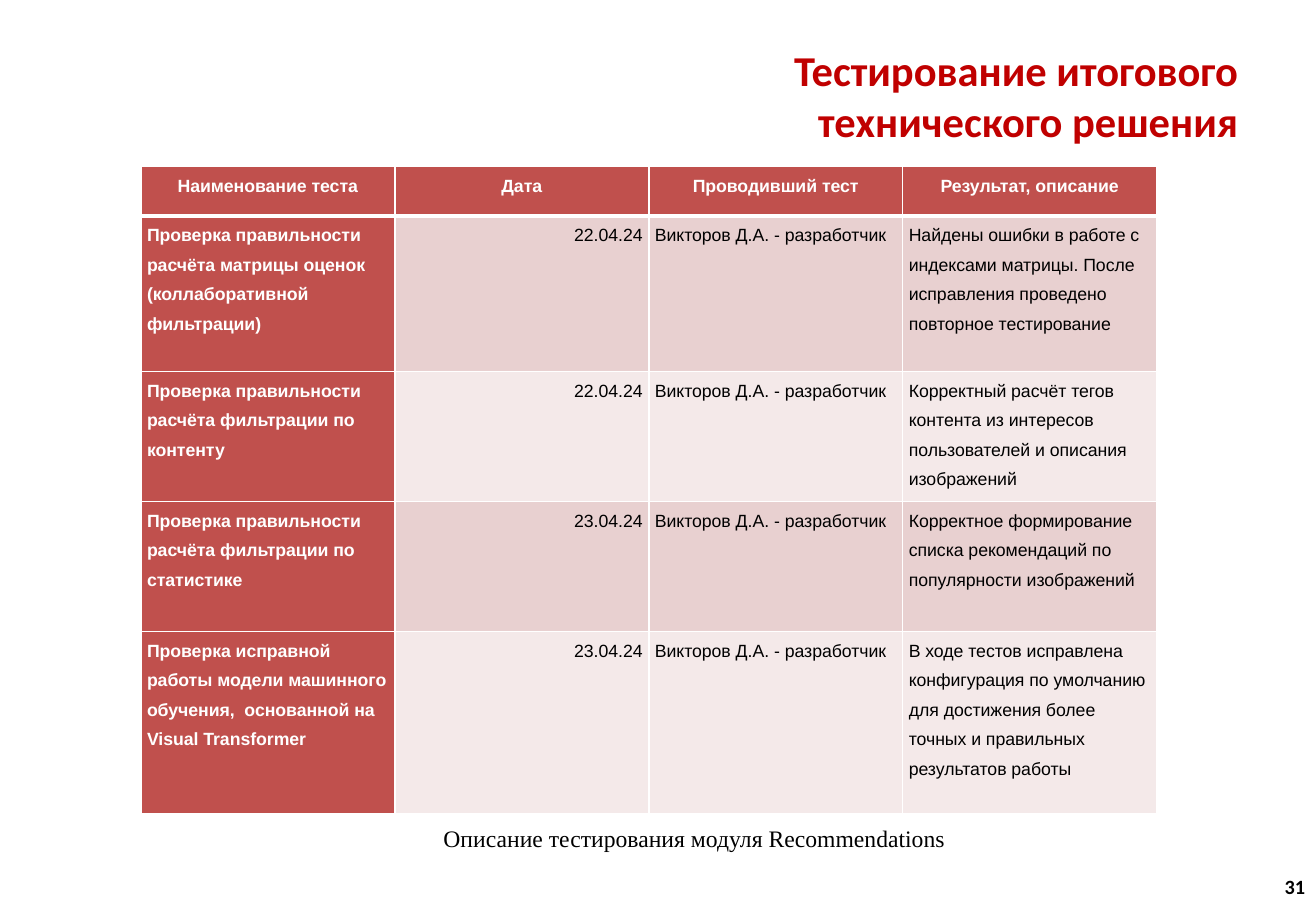
from dataclasses import dataclass

from lxml import etree
from pptx import Presentation
from pptx import util as u
from pptx.dml.color import RGBColor
from pptx.enum import text
from pptx.oxml import ns

RED, DARK_RED, BLACK, WHITE = "C0504D", "C00000", "000000", "FFFFFF"
BANDS = ["E8D0D0", "F4E9E9"]
LEFT, CENTER, RIGHT = text.PP_ALIGN.LEFT, text.PP_ALIGN.CENTER, text.PP_ALIGN.RIGHT


@dataclass
class Style:
    font: str
    size: float
    color: str
    bold: bool
    align: text.PP_ALIGN
    spacing: float = 1.0


@dataclass
class Label:
    words: str
    left: float
    top: float
    width: float
    height: float
    style: Style
    wrap: bool = True


@dataclass
class Test:
    name: str
    date: str
    result: str
    height: float
    tester: str = "Викторов Д.А. - разработчик"


LABELS = [
    Label("Тестирование итогового\vтехнического решения", 0.54, 0.48, 9.75, 0.61,
          Style("Calibri", 25.2, DARK_RED, True, RIGHT)),
    Label("31", 8.31, 7.1, 2.53, 0.4, Style("Calibri", 12, BLACK, True, RIGHT)),
    Label("Описание тестирования модуля Recommendations", 0.3, 6.65, 10.83, 0.5,
          Style("Times New Roman", 14, BLACK, False, CENTER), wrap=False),
]

HEADER = ["Наименование теста", "Дата", "Проводивший тест", "Результат, описание"]
HEADER_HEIGHT = 0.41
COLUMN_WIDTH = 2.09
TESTS = [
    Test("Проверка правильности расчёта матрицы оценок (коллаборативной фильтрации)",
         "22.04.24",
         "Найдены ошибки в работе с индексами матрицы. После исправления проведено "
         "повторное тестирование", 1.28),
    Test("Проверка правильности расчёта фильтрации по контенту",
         "22.04.24",
         "Корректный расчёт тегов контента из интересов пользователей и описания "
         "изображений", 1.07),
    Test("Проверка правильности расчёта фильтрации по статистике",
         "23.04.24",
         "Корректное формирование списка рекомендаций по популярности изображений", 1.07),
    Test("Проверка исправной работы модели машинного обучения,  основанной на "
         "Visual Transformer",
         "23.04.24",
         "В ходе тестов исправлена конфигурация по умолчанию для достижения более "
         "точных и правильных результатов работы", 1.5),
]


def rgb(value: str) -> RGBColor:
    return RGBColor.from_string(value)


def write(frame, words: str, style: Style) -> None:
    para = frame.paragraphs[0]
    para.text = words
    para.alignment = style.align
    para.line_spacing = style.spacing
    values = {"name": style.font, "size": u.Pt(style.size), "bold": style.bold}
    for span in para.runs:
        for key, value in values.items():
            setattr(span.font, key, value)
        span.font.color.rgb = rgb(style.color)


def add_label(page, label: Label) -> None:
    box = page.shapes.add_textbox(u.Inches(label.left), u.Inches(label.top),
                                  u.Inches(label.width), u.Inches(label.height))
    box.text_frame.word_wrap = label.wrap
    box.text_frame.vertical_anchor = text.MSO_ANCHOR.MIDDLE
    write(box.text_frame, label.words, label.style)


def add_borders(cell, widths: dict[str, float]) -> None:
    """Draw white borders; widths maps the sides L, R, T, B to points."""
    properties = cell._tc.get_or_add_tcPr()
    for side, width in widths.items():
        line = etree.SubElement(properties, ns.qn(f"a:ln{side}"), w=str(u.Pt(width)))
        fill = etree.SubElement(line, ns.qn("a:solidFill"))
        etree.SubElement(fill, ns.qn("a:srgbClr"), val=WHITE)


def fill_cell(cell, words: str, row: int, column: int) -> None:
    is_header = row == 0
    is_strong = is_header or column == 0
    align = CENTER if is_header else RIGHT if column == 1 else LEFT
    add_borders(cell, {"L": 1, "R": 1, "T": 3 if row == 1 else 1, "B": 3 if is_header else 1})
    cell.fill.solid()
    cell.fill.fore_color.rgb = rgb(RED if is_strong else BANDS[(row - 1) % 2])
    margins = {"margin_left": 0.05, "margin_right": 0.05, "margin_top": 0, "margin_bottom": 0}
    for key, value in margins.items():
        setattr(cell, key, u.Inches(value))
    color = WHITE if is_strong else BLACK
    write(cell.text_frame, words, Style("Arial", 10.5, color, is_strong, align, 1.5))


def add_test_table(page) -> None:
    rows = [HEADER] + [[test.name, test.date, test.tester, test.result] for test in TESTS]
    heights = [HEADER_HEIGHT] + [test.height for test in TESTS]
    table = page.shapes.add_table(
        len(rows), len(HEADER), u.Inches(1.16), u.Inches(1.37),
        u.Inches(COLUMN_WIDTH * len(HEADER)), u.Inches(sum(heights))).table
    table.first_row = table.horz_banding = False
    for column in table.columns:
        column.width = u.Inches(COLUMN_WIDTH)
    for row, (height, entries) in enumerate(zip(heights, rows)):
        table.rows[row].height = u.Inches(height)
        for column, words in enumerate(entries):
            fill_cell(table.cell(row, column), words, row, column)


def main() -> None:
    deck = Presentation()
    deck.slide_width, deck.slide_height = u.Inches(10.83), u.Inches(7.5)
    page = deck.slides.add_slide(deck.slide_layouts[6])
    add_test_table(page)
    for label in LABELS:
        add_label(page, label)
    deck.save("out.pptx")


if __name__ == "__main__":
    main()
